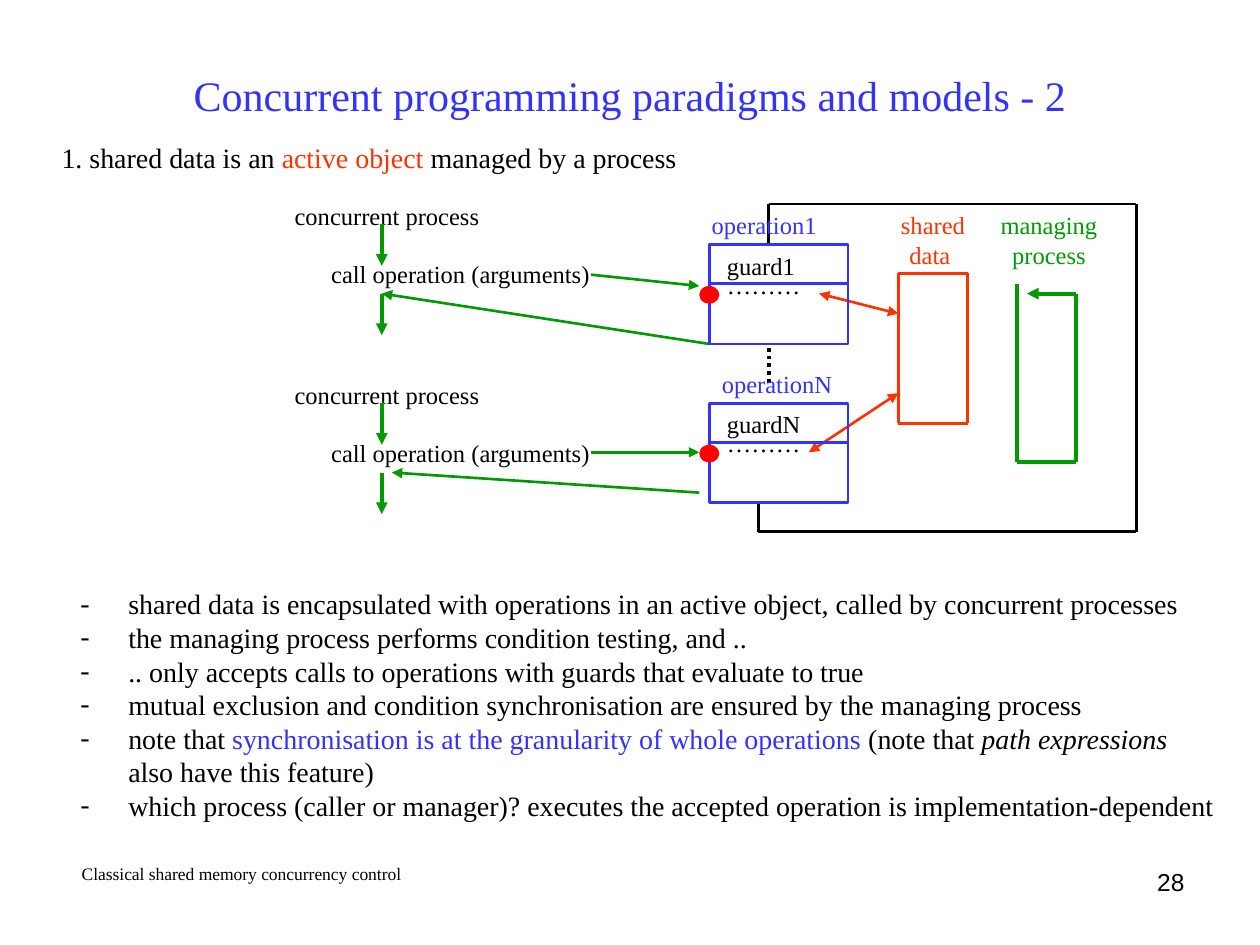
from lxml.etree import SubElement as Sub
from pptx import Presentation
from pptx.dml.color import RGBColor as RGB
from pptx.enum.dml import MSO_LINE as Dash
from pptx.enum.shapes import MSO_CONNECTOR as Conn, MSO_SHAPE as Kind
from pptx.enum.text import MSO_ANCHOR as Anchor, MSO_AUTO_SIZE as Fit, PP_ALIGN as Align
from pptx.oxml.ns import qn
from pptx.util import Inches, Pt

HUES = {"black": "000000", "blue": "3333FF", "red": "FF3300",
        "green": "009900", "dot": "FF0000"}
TINT = {name: RGB.from_string(code) for name, code in HUES.items()}

deck = Presentation()
deck.slide_width, deck.slide_height = Inches(10), Inches(7.5)
slide = deck.slides.add_slide(deck.slide_layouts[6])


def write(home, spot, lines, size, hue="black", align=Align.LEFT, wrap=False,
          face="Times New Roman"):
    box = home.add_textbox(*map(Inches, spot))
    frame = box.text_frame
    frame.word_wrap = wrap
    frame.auto_size = Fit.NONE if wrap else Fit.SHAPE_TO_FIT_TEXT
    for i, line in enumerate(lines):
        para = frame.paragraphs[0] if i == 0 else frame.add_paragraph()
        para.alignment = align
        for part in line.split("|"):
            run = para.add_run()
            run.text = part
            run.font.size = Pt(size)
            run.font.name = face
            run.font.color.rgb = TINT[hue]
    return frame


def link(x1, y1, x2, y2, hue, width=1.5, ends=()):
    line = slide.shapes.add_connector(Conn.STRAIGHT, *map(Inches, (x1, y1, x2, y2)))
    line.line.color.rgb = TINT[hue]
    line.line.width = Pt(width)
    edge = line.line._get_or_add_ln()
    for end in ends:
        Sub(edge, qn(f"a:{end}End"), type="triangle")
    Sub(line._element.spPr, qn("a:effectLst"))
    return line


title = write(slide.shapes, (0.5, 0.44, 9, 0.63),
              ["Concurrent programming paradigms and models - 2"],
              24, "blue", Align.CENTER, True)
title.vertical_anchor = Anchor.MIDDLE

lead = write(slide.shapes, (0.39, 1.07, 5.83, 0.37),
             ["1. shared data is an |active object| managed by a process"], 16)
lead.paragraphs[0].runs[1].font.color.rgb = TINT["red"]

points = [
    "shared data is encapsulated with operations in an active object, called by concurrent processes",
    "the managing process performs condition testing, and ..",
    ".. only accepts calls to operations with guards that evaluate to true",
    "mutual exclusion and condition synchronisation are ensured by the managing process",
    "note that |synchronisation is at the granularity of whole operations| (note that |path expressions",
    "also have this feature)",
    "which process (caller or manager)? executes the accepted operation is implementation-dependent",
]
notes = write(slide.shapes, (0.54, 4.61, 9.4, 1.97), points, 16, wrap=True)
for para in notes.paragraphs:
    props = para._p.get_or_add_pPr()
    props.set("marL", str(Inches(0.38)))
    if para.text != "also have this feature)":
        props.set("indent", str(Inches(-0.38)))
        Sub(Sub(props, qn("a:buClr")), qn("a:srgbClr"), val=HUES["black"])
        Sub(props, qn("a:buFont"), typeface="Times New Roman")
        Sub(props, qn("a:buChar"), char="-")
runs = notes.paragraphs[4].runs
runs[1].font.color.rgb = TINT["blue"]
runs[3].font.italic = True

for drop in (0, 1.42):
    call = write(slide.shapes, (2.24, 1.55 + drop, 2.6, 0.8),
                 ["concurrent process", "call operation (arguments)"], 14, wrap=True)
    step = call.paragraphs[1]
    step.space_before = Pt(16)
    step._p.get_or_add_pPr().set("marL", str(Inches(0.29)))
    for top in (1.78, 2.33):
        link(3.03, top + drop, 3.03, top + drop + 0.33, "green", 2.25, ["tail"])

for x1, y1, x2, y2, end in [
    (3.03, 2.33, 5.63, 2.73, "head"),
    (4.69, 2.18, 5.55, 2.27, "tail"),
    (3.11, 3.75, 5.55, 3.91, "head"),
    (4.69, 3.59, 5.55, 3.59, "tail"),
]:
    link(x1, y1, x2, y2, "green", ends=[end])

for spot, words, hue in [
    ((7.84, 1.62, 0.97, 0.57), ["managing", "process"], "green"),
    ((7.05, 1.62, 0.71, 0.57), ["shared", "data "], "red"),
]:
    write(slide.shapes, spot, words, 14, hue, Align.CENTER)

for x1, y1, x2, y2 in [
    (6.1, 1.94, 6.1, 1.62), (6.1, 1.62, 9.02, 1.62), (9.02, 1.62, 9.02, 4.22),
    (6.02, 4.22, 9.02, 4.22), (6.02, 4.22, 6.02, 3.99),
]:
    link(x1, y1, x2, y2, "black")
gap = link(6.1, 3.04, 6.1, 2.73, "black", 2.25)
gap.line.dash_style = Dash.ROUND_DOT

for x1, y1, x2, y2 in [
    (7.13, 2.17, 7.68, 2.17), (7.13, 2.17, 7.13, 3.36),
    (7.13, 3.36, 7.68, 3.36), (7.68, 2.17, 7.68, 3.36),
]:
    link(x1, y1, x2, y2, "red")
link(6.5, 2.33, 7.13, 2.49, "red", ends=["head", "tail"])
link(6.42, 3.59, 7.13, 3.12, "red", ends=["head", "tail"])

for x1, y1, x2, y2 in [
    (8.07, 2.25, 8.07, 3.67), (8.07, 3.67, 8.54, 3.67), (8.54, 2.33, 8.54, 3.67),
]:
    link(x1, y1, x2, y2, "green", 2.25)
link(8.54, 2.33, 8.15, 2.33, "green", 2.25, ["tail"])

for mark, left, top in [("1", 5.55, 1.94), ("N", 5.63, 3.2)]:
    write(slide.shapes, (left, top - 0.32, 1.15, 0.34), ["operation" + mark], 14,
          "blue", wrap=True)
    group = slide.shapes.add_group_shape().shapes
    frame = group.add_shape(Kind.RECTANGLE, *map(Inches, (5.63, top, 1.1, 0.79)))
    frame.shadow.inherit = False
    frame.fill.background()
    frame.line.color.rgb = TINT["blue"]
    frame.line.width = Pt(1.5)
    guard = write(group, (5.67, top, 1.06, 0.48), ["guard" + mark, "………"], 14, wrap=True)
    guard.paragraphs[1].line_spacing = 0.6
    link(6.73, top + 0.31, 5.63, top + 0.31, "blue")
    dot = slide.shapes.add_shape(Kind.OVAL, *map(Inches, (5.55, top + 0.33, 0.16, 0.14)))
    dot.shadow.inherit = False
    dot.fill.solid()
    dot.fill.fore_color.rgb = TINT["dot"]
    dot.line.fill.background()

write(slide.shapes, (7.17, 6.83, 2.33, 0.52), ["28"], 14,
      align=Align.RIGHT, wrap=True, face="Arial")
write(slide.shapes, (0.55, 6.8, 3.15, 0.36),
      ["Classical shared memory concurrency control"], 10, wrap=True)

deck.save("out.pptx")
